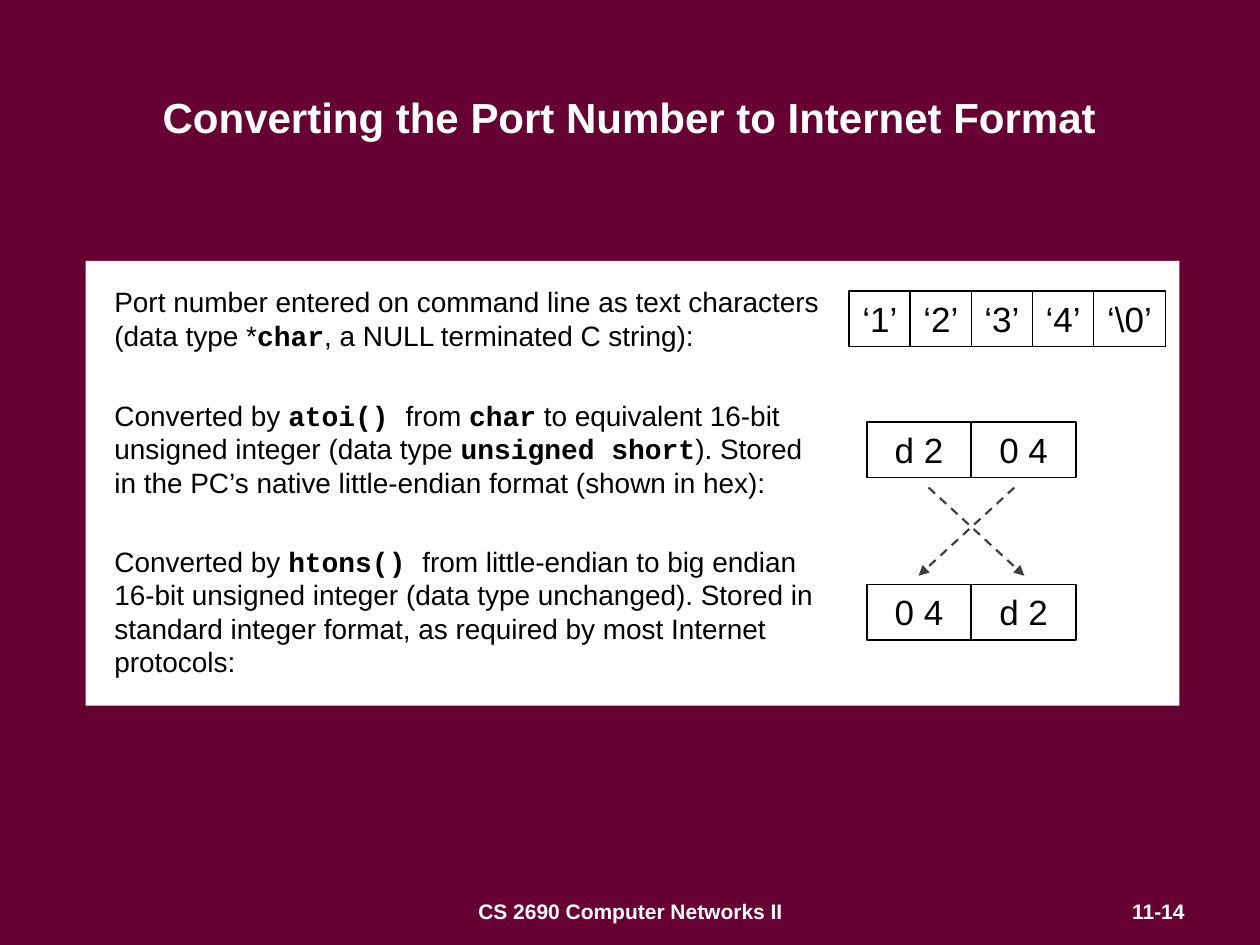
from dataclasses import dataclass

from lxml.etree import SubElement
from pptx import Presentation
from pptx.dml.color import RGBColor
from pptx.enum.dml import MSO_LINE
from pptx.enum.shapes import MSO_CONNECTOR, MSO_SHAPE
from pptx.enum.text import MSO_ANCHOR, PP_ALIGN
from pptx.oxml.ns import qn
from pptx.util import Inches, Pt


@dataclass(frozen=True)
class Theme:
    back: RGBColor = RGBColor(0x66, 0x00, 0x33)
    light: RGBColor = RGBColor(0xFF, 0xFF, 0xFF)
    dark: RGBColor = RGBColor(0x00, 0x00, 0x00)
    sans: str = "Arial"
    mono: str = "Courier New"
    title: int = 24
    cell: int = 20
    body: int = 16
    footer: int = 12


T = Theme()

TITLE = "Converting the Port Number to Internet Format"
FOOTERS = [
    ("CS 2690 Computer Networks II", 2.42, 5.17, PP_ALIGN.CENTER),
    ("11-14", 7.58, 1.92, PP_ALIGN.RIGHT),
]
PANEL = (0.68, 2.07, 8.68, 3.53)

# Odd-numbered pieces of each line, between backticks, are code.
STEPS = [
    (2.21, 0.64, [
        "Port number entered on command line as text characters",
        "(data type *`char`, a NULL terminated C string):",
    ]),
    (3.11, 0.91, [
        "Converted by `atoi() `from `char` to equivalent 16-bit",
        "unsigned integer (data type `unsigned short`). Stored",
        "in the PC’s native little-endian format (shown in hex):",
    ]),
    (4.27, 1.18, [
        "Converted by `htons() `from little-endian to big endian",
        "16-bit unsigned integer (data type unchanged). Stored in",
        "standard integer format, as required by most Internet",
        "protocols:",
    ]),
]
STEP_X, STEP_W = 0.81, 5.9

CELL_H = 0.44
BYTE_W = 0.83
CELL_ROWS = [
    (6.74, 2.31, [("‘1’", 0.485), ("‘2’", 0.485), ("‘3’", 0.485),
                  ("‘4’", 0.485), ("‘\\0’", 0.57)]),
    (6.88, 3.35, [("d 2", BYTE_W), ("0 4", BYTE_W)]),
    (6.88, 4.64, [("0 4", BYTE_W), ("d 2", BYTE_W)]),
]
ARROW_Y = (3.87, 4.57)
ARROWS = [(7.37, 8.13), (8.05, 7.29)]


def add_run(p, text, size, color, bold=False, font=T.sans):
    r = p.add_run()
    r.text = text
    r.font.name = font
    r.font.size = Pt(size)
    r.font.bold = bold
    r.font.color.rgb = color


def add_box(s, x, y, w, h, fill=None, line=None):
    sp = s.shapes.add_shape(MSO_SHAPE.RECTANGLE, *map(Inches, (x, y, w, h)))
    sp.shadow.inherit = False
    if fill is None:
        sp.fill.background()
    else:
        sp.fill.solid()
        sp.fill.fore_color.rgb = fill
    if line is None:
        sp.line.fill.background()
    else:
        sp.line.color.rgb = line
        sp.line.width = Pt(1)
    return sp


def add_cell(s, text, x, y, w):
    tf = add_box(s, x, y, w, CELL_H, line=T.dark).text_frame
    tf.word_wrap = False
    tf.vertical_anchor = MSO_ANCHOR.TOP
    p = tf.paragraphs[0]
    p.alignment = PP_ALIGN.CENTER
    add_run(p, text, T.cell, T.dark)


def add_step(s, y, h, lines):
    tf = s.shapes.add_textbox(*map(Inches, (STEP_X, y, STEP_W, h))).text_frame
    tf.word_wrap = False
    for i, line in enumerate(lines):
        p = tf.paragraphs[0] if i == 0 else tf.add_paragraph()
        for j, piece in enumerate(line.split("`")):
            code = j % 2 == 1
            add_run(p, piece, T.body, T.dark, code, T.mono if code else T.sans)


def add_arrow(s, x1, x2):
    y1, y2 = ARROW_Y
    cx = s.shapes.add_connector(MSO_CONNECTOR.STRAIGHT,
                                *map(Inches, (x1, y1, x2, y2)))
    cx.line.color.rgb = T.dark
    cx.line.width = Pt(1.25)
    cx.line.dash_style = MSO_LINE.DASH
    ln = cx.line._get_or_add_ln()
    color = ln.find(qn("a:solidFill")).find(qn("a:srgbClr"))
    SubElement(color, qn("a:alpha"), val="75000")
    SubElement(ln, qn("a:tailEnd"), type="triangle")
    SubElement(cx._element.spPr, qn("a:effectLst"))


def main():
    prs = Presentation()
    prs.slide_width, prs.slide_height = Inches(10), Inches(7.5)
    s = prs.slides.add_slide(prs.slide_layouts[5])
    s.background.fill.solid()
    s.background.fill.fore_color.rgb = T.back

    title = s.shapes.title
    title.left, title.top = Inches(0.33), Inches(0.3)
    title.width, title.height = Inches(9.33), Inches(1.25)
    title.text_frame.vertical_anchor = MSO_ANCHOR.MIDDLE
    p = title.text_frame.paragraphs[0]
    p.alignment = PP_ALIGN.CENTER
    add_run(p, TITLE, T.title, T.light, True)

    for text, x, w, align in FOOTERS:
        tf = s.shapes.add_textbox(*map(Inches, (x, 7.08, w, 0.27))).text_frame
        tf.word_wrap = True
        p = tf.paragraphs[0]
        p.alignment = align
        add_run(p, text, T.footer, T.light, True)

    add_box(s, *PANEL, fill=T.light)
    for step in STEPS:
        add_step(s, *step)
    for x, y, cells in CELL_ROWS:
        for text, w in cells:
            add_cell(s, text, x, y, w)
            x += w
    for arrow in ARROWS:
        add_arrow(s, *arrow)

    prs.save("out.pptx")


if __name__ == "__main__":
    main()
